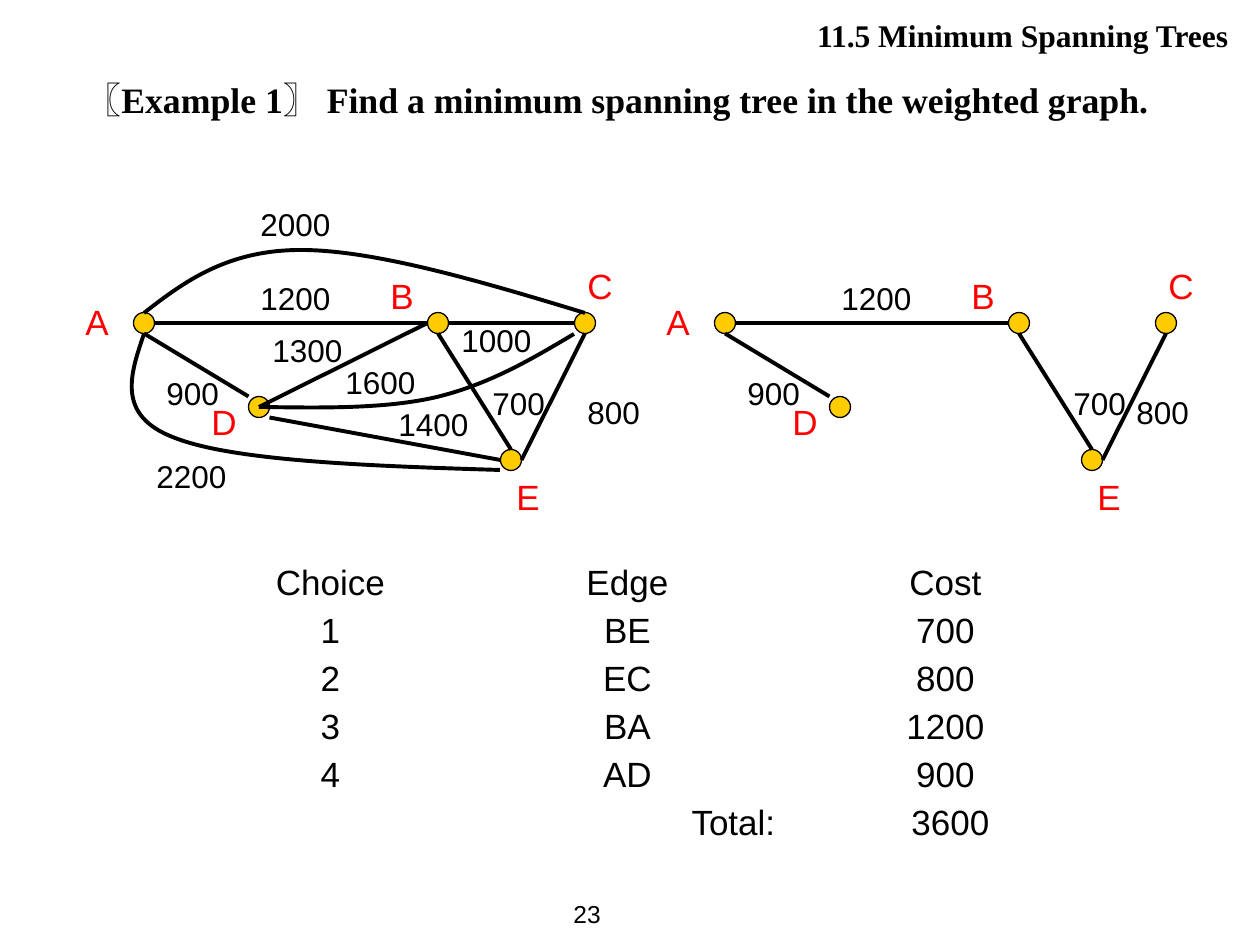
from pptx import Presentation
from pptx import util as u
from pptx.dml.color import RGBColor
from pptx.enum import shapes as kinds, text
from pptx.oxml.ns import qn
from lxml import etree

PX = 914400 / 126
BLACK = RGBColor(0x00, 0x00, 0x00)
RED = RGBColor(0xFF, 0x00, 0x00)
GOLD = RGBColor(0xFF, 0xCC, 0x00)


def emu(*lengths):
    return [round(length * PX) for length in lengths]


def write(holder, lines, size, color=BLACK, font="Arial", bold=False):
    """Put one run per line into a shape and return the paragraphs."""
    frame = holder.text_frame
    frame.word_wrap = True
    frame.auto_size = text.MSO_AUTO_SIZE.NONE
    for number, line in enumerate(lines):
        paragraph = frame.add_paragraph() if number else frame.paragraphs[0]
        run = paragraph.add_run()
        run.text = line
        run.font.size = u.Pt(size)
        run.font.name = font
        run.font.bold = bold
        run.font.color.rgb = color
    return frame.paragraphs


prs = Presentation()
prs.slide_width, prs.slide_height = emu(1260, 945)
slide = prs.slides.add_slide(prs.slide_layouts[1])

# Section title and exercise
section = slide.shapes.title
section.left, section.top, section.width, section.height = emu(501, 3, 740, 63)
heading = write(section, ["11.5 Minimum Spanning Trees"], 18, font="Times New Roman", bold=True)[0]
heading.alignment = text.PP_ALIGN.RIGHT

exercise = slide.placeholders[1]
exercise.left, exercise.top, exercise.width, exercise.height = emu(64, 76, 1111, 89)
task = write(exercise, ["〖Example 1〗 Find a minimum spanning tree in the weighted graph."],
             20.4, font="Times New Roman", bold=True)[0]
task.line_spacing = 0.9
task.space_before = u.Pt(0)
margin, indent = emu(48, -39)
task_props = task._p.get_or_add_pPr()
task_props.set("marL", str(margin))
task_props.set("indent", str(indent))
etree.SubElement(task_props, qn("a:buNone"))

# Graph data: node centres, edges by side, curves as Bezier points, label corners
RADIUS = 10.5
NODES = {"A": (144, 323), "B": (438, 323), "C": (585, 323), "E": (511, 460), "D": (259, 407)}
SIDES = {"centre": (0, 0), "left": (-1, 0), "right": (1, 0), "top": (0, -1),
         "bottom": (0, 1), "top left": (-1, -1), "bottom right": (1, 1)}
EDGES = {
    "AB": ("right", "left"),
    "BC": ("right", "left"),
    "AD": ("bottom", "top left"),
    "DE": ("bottom right", "left"),
    "EC": ("right", "bottom"),
    "BE": ("bottom", "top"),
    "DB": ("centre", "left"),
}
CURVES = [
    [(144, 313), (185, 281), (228, 250), (301, 250), (374, 250), (480, 281), (585, 313)],
    [(144, 334), (130, 375), (116, 416), (175, 438), (234, 461), (368, 466), (500, 470)],
    [(259, 407), (322, 408), (386, 409), (437, 397), (490, 384), (532, 359), (574, 334)],
]
TREE_WEIGHTS = {"1200": (248, 273), "900": (154, 368), "700": (480, 378)}
GRAPH_WEIGHTS = {
    **TREE_WEIGHTS, "2000": (248, 199), "1000": (449, 315), "1300": (260, 325),
    "1600": (333, 357), "1400": (386, 399), "800": (575, 387), "2200": (144, 451),
}
NODE_LABELS = {"A": (73, 294), "B": (378, 268), "C": (575, 258), "D": (199, 394), "E": (504, 469)}

graph = slide.shapes.add_group_shape().shapes
drawings = [
    (graph, 0, EDGES, CURVES, GRAPH_WEIGHTS),
    (slide.shapes, 581, ["AB", "AD", "EC", "BE"], [], {**TREE_WEIGHTS, "800": (543, 387)}),
]
for canvas, shift, edges, curves, weights in drawings:
    for x, y in NODES.values():
        node = canvas.add_shape(kinds.MSO_SHAPE.OVAL, *emu(
            x + shift - RADIUS, y - RADIUS, 2 * RADIUS, 2 * RADIUS))
        node.shadow.inherit = False
        node.fill.solid()
        node.fill.fore_color.rgb = GOLD
        node.line.color.rgb = BLACK
        node.line.width = u.Pt(0.75)

    for edge in edges:
        ends = []
        for name, side in zip(edge, EDGES[edge]):
            (x, y), (across, down) = NODES[name], SIDES[side]
            ends += [x + shift + across * RADIUS, y + down * RADIUS]
        link = canvas.add_connector(kinds.MSO_CONNECTOR.STRAIGHT, *emu(*ends))
        link.line.color.rgb = BLACK
        link.line.width = u.Pt(2.25)
        etree.SubElement(link._element.spPr, qn("a:effectLst"))

    for points in curves:
        outline = canvas.build_freeform(*points[0], scale=PX)
        outline.add_line_segments(points[1:], close=False)
        curve = outline.convert_to_shape()
        curve.shadow.inherit = False
        curve.fill.background()
        curve.line.color.rgb = BLACK
        curve.line.width = u.Pt(2.25)
        # Every three straight segments hold the points of one Bezier segment
        route = next(curve._element.iter(qn("a:path")))
        steps = route.findall(qn("a:lnTo"))
        for first in range(0, len(steps), 3):
            bend = etree.SubElement(route, qn("a:cubicBezTo"))
            for step in steps[first:first + 3]:
                bend.append(step[0])
                route.remove(step)

    for labels, width, height, size, color in [
        (weights, 105, 50, 18, BLACK),
        (NODE_LABELS, 63, 55, 20, RED),
    ]:
        for label, (x, y) in labels.items():
            write(canvas.add_textbox(*emu(x + shift, y, width, height)), [label], size, color)

# Choices in order, set in centred columns
choices = [
    ("Choice", "Edge", "Cost"),
    ("1", "BE", "700"),
    ("2", "EC", "800"),
    ("3", "BA", "1200"),
    ("4", "AD", "900"),
    ("Total:", "3600"),
]
choice_box = slide.shapes.add_textbox(*emu(262, 554, 798, 287))
rows = write(choice_box, ["\t" + "\t".join(row) for row in choices], 20)
for number, (paragraph, row) in enumerate(zip(rows, choices)):
    if number:
        paragraph.space_before = u.Pt(3.5)
    stops = etree.SubElement(paragraph._p.get_or_add_pPr(), qn("a:tabLst"))
    for position in emu(*((56, 353, 671) if len(row) == 3 else (459, 676))):
        etree.SubElement(stops, qn("a:tab"), pos=str(position), algn="ctr")

page_number = slide.shapes.add_textbox(*emu(561, 882, 84, 63))
write(page_number, ["23"], 14)
page_number.text_frame.vertical_anchor = text.MSO_ANCHOR.MIDDLE

prs.save("out.pptx")
